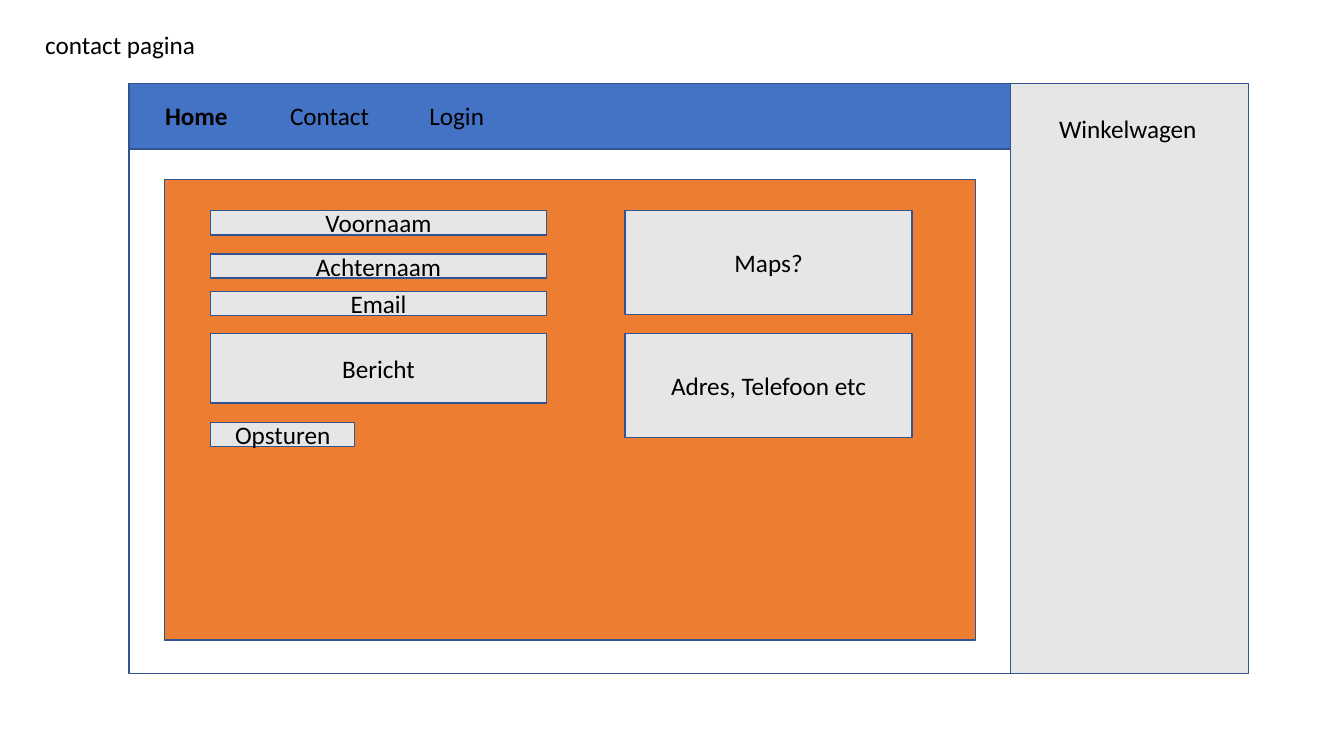
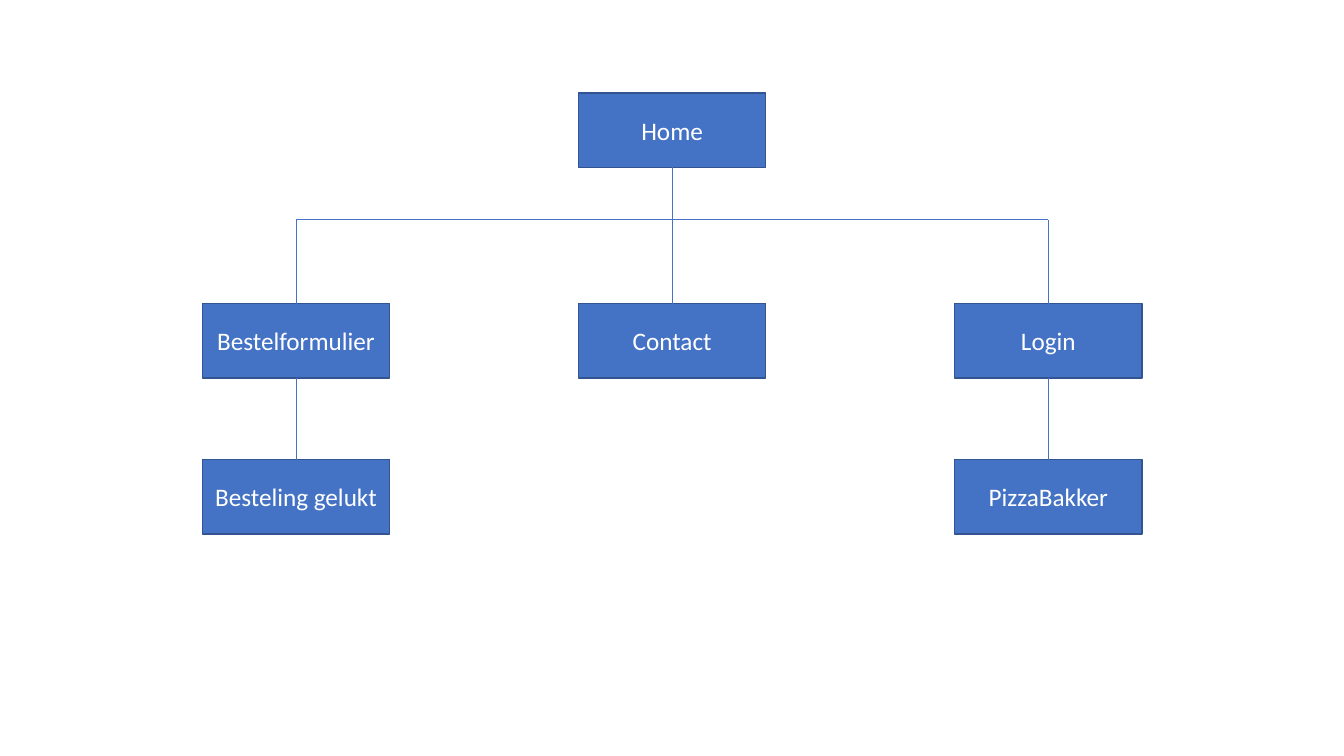
from pptx import Presentation
from pptx.dml.color import RGBColor
from pptx.enum.shapes import MSO_CONNECTOR, MSO_SHAPE
from pptx.enum.text import MSO_ANCHOR, MSO_AUTO_SIZE, PP_ALIGN
from pptx.oxml.ns import qn
from pptx.util import Cm, Pt
from lxml.etree import SubElement

FONT, SIZE = "Calibri", Pt(18)
BLUE, OUTLINE, ORANGE = "4472C4", "325491", "ED7D31"
GREY, BLACK, WHITE = "E7E6E6", "000000", "FFFFFF"

PAGE_TITLE = ("contact pagina", 0.89, 0.61, 6.73)
FRAME_LEFT, FRAME_TOP, FRAME_HEIGHT = 3.25, 2.11, 14.86
MAIN_WIDTH, CART_WIDTH, MENU_HEIGHT = 22.22, 6, 1.65
MENU = [("Home", 3.91), ("Contact", 7.06), ("Login", 10.57)]
MENU_TEXT_TOP, MENU_TEXT_WIDTH = 2.41, 2.69
CART_TEXT = ("Winkelwagen", 26.44, 2.72, 4.34)
PANEL = (4.14, 4.52, 20.45, 11.61)
FORM_LEFT, FORM_WIDTH, FIELD_HEIGHT = 5.31, 8.46, 0.61
FORM = [
    ("Voornaam", 5.31, FORM_WIDTH, FIELD_HEIGHT),
    ("Achternaam", 6.4, FORM_WIDTH, FIELD_HEIGHT),
    ("Email", 7.34, FORM_WIDTH, FIELD_HEIGHT),
    ("Opsturen", 10.64, 3.63, FIELD_HEIGHT),
    ("Bericht", 8.41, FORM_WIDTH, 1.75),
]
INFO_LEFT, INFO_WIDTH, INFO_HEIGHT = 15.75, 7.24, 2.62
INFO = [("Maps?", 5.31), ("Adres, Telefoon etc", 8.41)]

NODE_WIDTH, NODE_HEIGHT = 4.72, 1.88
FIRST_COLUMN, COLUMN_STEP = 5.1, 9.48
ROW_TOPS = [2.34, 7.65, 11.58]
BRANCH_TOP = 5.54
NODES = [
    ("Home", 1, 0),
    ("Contact", 1, 1),
    ("Login", 2, 1),
    ("Bestelformulier", 0, 1),
    ("Besteling gelukt", 0, 2),
    ("PizzaBakker", 2, 2),
]
OUTER_BRANCHES = ["Bestelformulier", "Login"]
LINKS = [
    ("Home", "Contact"),
    ("Bestelformulier", "Besteling gelukt"),
    ("Login", "PizzaBakker"),
]


def color(value):
    """Turn a hex string into a colour."""
    return RGBColor.from_string(value)


def write(shape, text, text_color, bold=False):
    """Put one styled paragraph into a shape."""
    paragraph = shape.text_frame.paragraphs[0]
    paragraph.text = text
    paragraph.font.name = FONT
    paragraph.font.size = SIZE
    paragraph.font.bold = bold
    paragraph.font.color.rgb = color(text_color)
    return paragraph


def add_box(slide, left, top, width, height, fill, text="", text_color=BLACK):
    """Add an outlined rectangle with optional centred text."""
    shape = slide.shapes.add_shape(
        MSO_SHAPE.RECTANGLE, Cm(left), Cm(top), Cm(width), Cm(height))
    shape.shadow.inherit = False
    shape.fill.solid()
    shape.fill.fore_color.rgb = color(fill)
    shape.line.color.rgb = color(OUTLINE)
    shape.line.width = Pt(1)
    if text:
        shape.text_frame.vertical_anchor = MSO_ANCHOR.MIDDLE
        write(shape, text, text_color).alignment = PP_ALIGN.CENTER
    return shape


def add_label(slide, text, left, top, width, bold=False):
    """Add a one-line text box."""
    label = slide.shapes.add_textbox(Cm(left), Cm(top), Cm(width), Cm(1.03))
    label.text_frame.word_wrap = True
    label.text_frame.auto_size = MSO_AUTO_SIZE.SHAPE_TO_FIT_TEXT
    write(label, text, BLACK, bold)


def add_line(slide, start=(0, 0), end=(0, 0)):
    """Add a thin straight connector."""
    line = slide.shapes.add_connector(MSO_CONNECTOR.STRAIGHT, *start, *end)
    line.line.color.rgb = color(BLUE)
    line.line.width = Pt(0.5)
    SubElement(line._element.spPr, qn("a:effectLst"))
    return line


def build_contact_page(slide):
    """Draw the wireframe of the contact page."""
    cart_left = FRAME_LEFT + MAIN_WIDTH
    add_box(slide, FRAME_LEFT, FRAME_TOP, MAIN_WIDTH + CART_WIDTH, FRAME_HEIGHT, WHITE)
    add_box(slide, cart_left, FRAME_TOP, CART_WIDTH, FRAME_HEIGHT, GREY)
    add_box(slide, FRAME_LEFT, FRAME_TOP, MAIN_WIDTH, MENU_HEIGHT, BLUE)
    for text, left in MENU:
        add_label(slide, text, left, MENU_TEXT_TOP, MENU_TEXT_WIDTH, text == "Home")
    add_label(slide, *CART_TEXT)
    add_box(slide, *PANEL, ORANGE)
    for text, top, width, height in FORM:
        add_box(slide, FORM_LEFT, top, width, height, GREY, text)
    for text, top in INFO:
        add_box(slide, INFO_LEFT, top, INFO_WIDTH, INFO_HEIGHT, GREY, text)
    add_label(slide, *PAGE_TITLE)


def build_site_map(slide):
    """Draw the page tree of the site."""
    nodes = {
        text: add_box(slide, FIRST_COLUMN + column * COLUMN_STEP, ROW_TOPS[row],
                      NODE_WIDTH, NODE_HEIGHT, BLUE, text, WHITE)
        for text, column, row in NODES
    }
    corners = [(nodes[name].left + nodes[name].width // 2, Cm(BRANCH_TOP))
               for name in OUTER_BRANCHES]
    add_line(slide, *corners)
    for name, corner in zip(OUTER_BRANCHES, corners):
        add_line(slide, corner, corner).end_connect(nodes[name], 0)
    for parent, child in LINKS:
        line = add_line(slide)
        line.begin_connect(nodes[parent], 2)
        line.end_connect(nodes[child], 0)


def main():
    """Build and save the presentation."""
    presentation = Presentation()
    presentation.slide_width, presentation.slide_height = Cm(33.87), Cm(19.05)
    for build in (build_contact_page, build_site_map):
        build(presentation.slides.add_slide(presentation.slide_layouts[6]))
    presentation.save("out.pptx")


if __name__ == "__main__":
    main()
